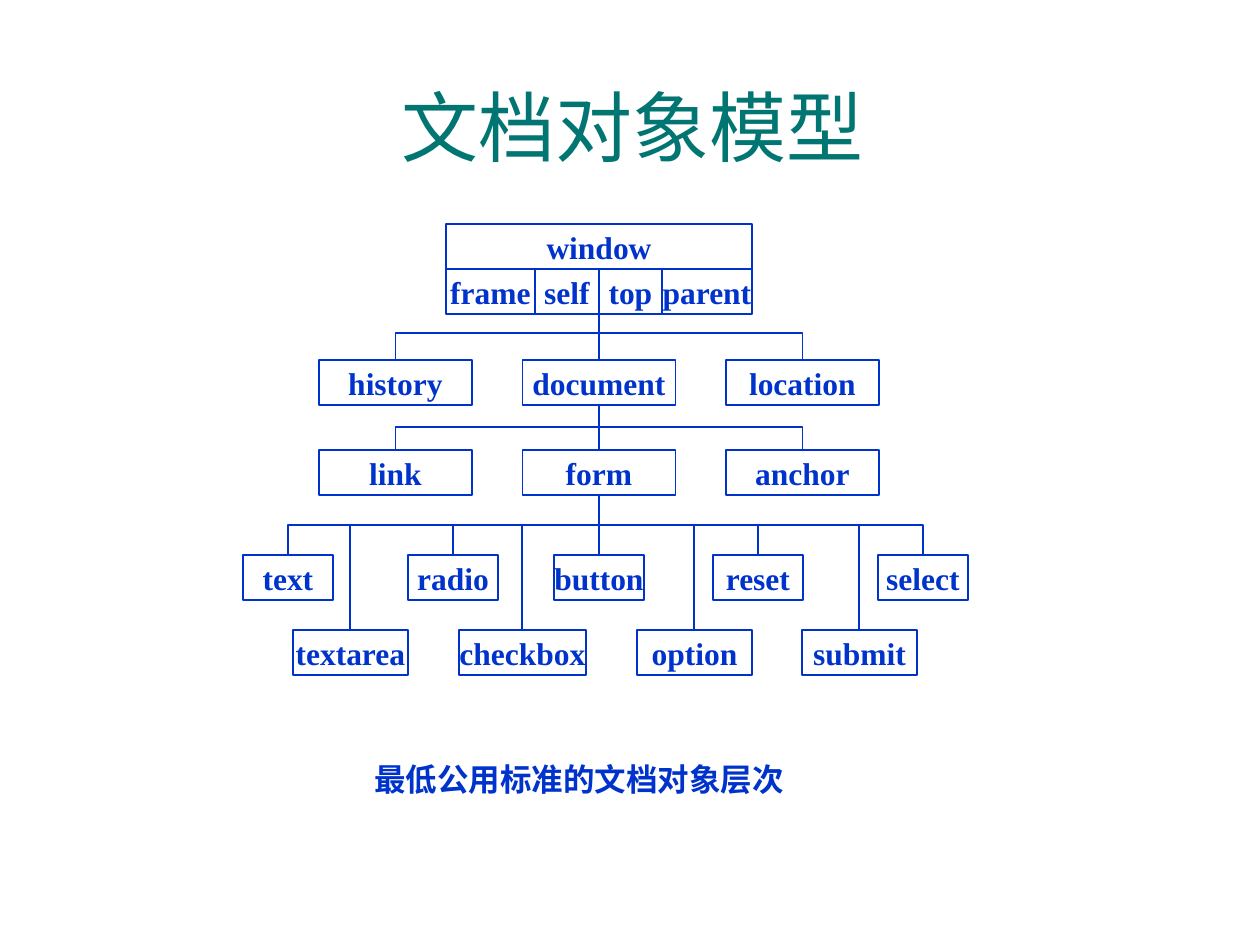
from lxml.etree import SubElement
from pptx import Presentation
from pptx.dml.color import RGBColor
from pptx.enum.shapes import MSO_CONNECTOR as CONN, MSO_SHAPE as SHAPE
from pptx.enum.text import MSO_ANCHOR as ANCHOR, PP_ALIGN as ALIGN
from pptx.oxml.ns import qn
from pptx.util import Pt

SCALE = 914400 / 126
BLUE, TEAL, WHITE = "0033CC", "007572", "FFFFFF"
LABEL = {"name": "Times New Roman", "size": Pt(18), "bold": True}
HEADING = {"name": "Arial", "size": Pt(44), "bold": False}
ROW_H = 45


def px(n):
    return round(n * SCALE)


def rgb(value):
    return RGBColor.from_string(value)


def write(sp, text, fmt, color, align, anchor, wrap):
    tf = sp.text_frame
    for key, value in {"word_wrap": wrap, "vertical_anchor": anchor}.items():
        setattr(tf, key, value)
    p = tf.paragraphs[0]
    p.alignment = align
    r = p.add_run()
    r.text = text
    for key, value in fmt.items():
        setattr(r.font, key, value)
    r.font.color.rgb = rgb(color)


def node(s, text, x, y, w):
    sp = s.shapes.add_shape(SHAPE.RECTANGLE, px(x), px(y), px(w), px(ROW_H))
    sp.shadow.inherit = False
    sp.fill.background()
    sp.line.color.rgb = rgb(BLUE)
    sp.line.width = Pt(0.75)
    write(sp, text, LABEL, BLUE, ALIGN.CENTER, ANCHOR.MIDDLE, False)


def link(s, x1, y1, x2, y2, bus):
    dx, dy = x2 - x1, y2 - y1
    if dx == 0:
        cn = s.shapes.add_connector(CONN.STRAIGHT, px(x1), px(y1), px(x2), px(y2))
    else:
        cx, cy = (x1 + x2) / 2, (y1 + y2) / 2
        half = dy / 2 if dx < 0 else -dy / 2
        cn = s.shapes.add_connector(
            CONN.ELBOW, px(cx - half), px(cy - abs(dx) / 2),
            px(cx + half), px(cy + abs(dx) / 2))
        pr = cn._element.spPr
        pr.find(qn("a:xfrm")).set("rot", str((90 if dx < 0 else 270) * 60000))
        av = pr.find(qn("a:prstGeom")).find(qn("a:avLst"))
        ratio = round((bus - y1) / dy * 100000)
        SubElement(av, qn("a:gd"), name="adj1", fmla=f"val {ratio}")
    cn.line.color.rgb = rgb(BLUE)
    cn.line.width = Pt(0.75)
    SubElement(cn._element.spPr, qn("a:effectLst"))


def title(s, x, y, w, h):
    sp = s.shapes.add_textbox(px(x), px(y), px(w), px(h))
    write(sp, "文档对象模型", HEADING, TEAL, ALIGN.CENTER, ANCHOR.MIDDLE, True)


def caption(s, x, y, w, h):
    sp = s.shapes.add_shape(SHAPE.RECTANGLE, px(x), px(y), px(w), px(h))
    sp.shadow.inherit = False
    sp.fill.solid()
    sp.fill.fore_color.rgb = rgb(WHITE)
    sp.line.fill.background()
    sp.text_frame.margin_top = sp.text_frame.margin_bottom = 0
    write(sp, "最低公用标准的文档对象层次", LABEL, BLUE, ALIGN.JUSTIFY, ANCHOR.TOP, True)


def window(s, x, y, w):
    node(s, "window", x, y, w)
    edges = [0, 89, w // 2, w - 90, w]
    names = ["frame", "self", "top", "parent"]
    for name, a, b in zip(names, edges, edges[1:]):
        node(s, name, x + a, y + ROW_H, b - a)


def branches(s, names, x, y, w, parent_y, bus):
    node_w = 153
    step = (w - node_w) / (len(names) - 1)
    for i, name in enumerate(names):
        left = x + i * step
        node(s, name, left, y, node_w)
        link(s, x + w / 2, parent_y, left + node_w / 2, y, bus)


def leaves(s, x, y, root_x, parent_y, bus):
    rows = [
        (0, [("text", 0, 90), ("radio", 165, 90), ("button", 311, 90),
             ("reset", 470, 90), ("select", 635, 90)]),
        (75, [("textarea", 50, 115), ("checkbox", 216, 127),
              ("option", 394, 115), ("submit", 559, 115)]),
    ]
    for dy, row in rows:
        for name, dx, w in row:
            node(s, name, x + dx, y + dy, w)
            link(s, root_x, parent_y, x + dx + w // 2, y + dy, bus)


def main():
    prs = Presentation()
    prs.slide_width, prs.slide_height = px(1260), px(945)
    s = prs.slides.add_slide(prs.slide_layouts[6])
    title(s, 44, 47, 1177, 157)
    caption(s, 362, 760, 486, 63)
    window(s, 446, 224, 306)
    branches(s, ["history", "document", "location"], 319, 360, 560, 269, 333)
    branches(s, ["link", "form", "anchor"], 319, 450, 560, 405, 427)
    leaves(s, 243, 555, 599, 495, 525)
    prs.save("out.pptx")


if __name__ == "__main__":
    main()
